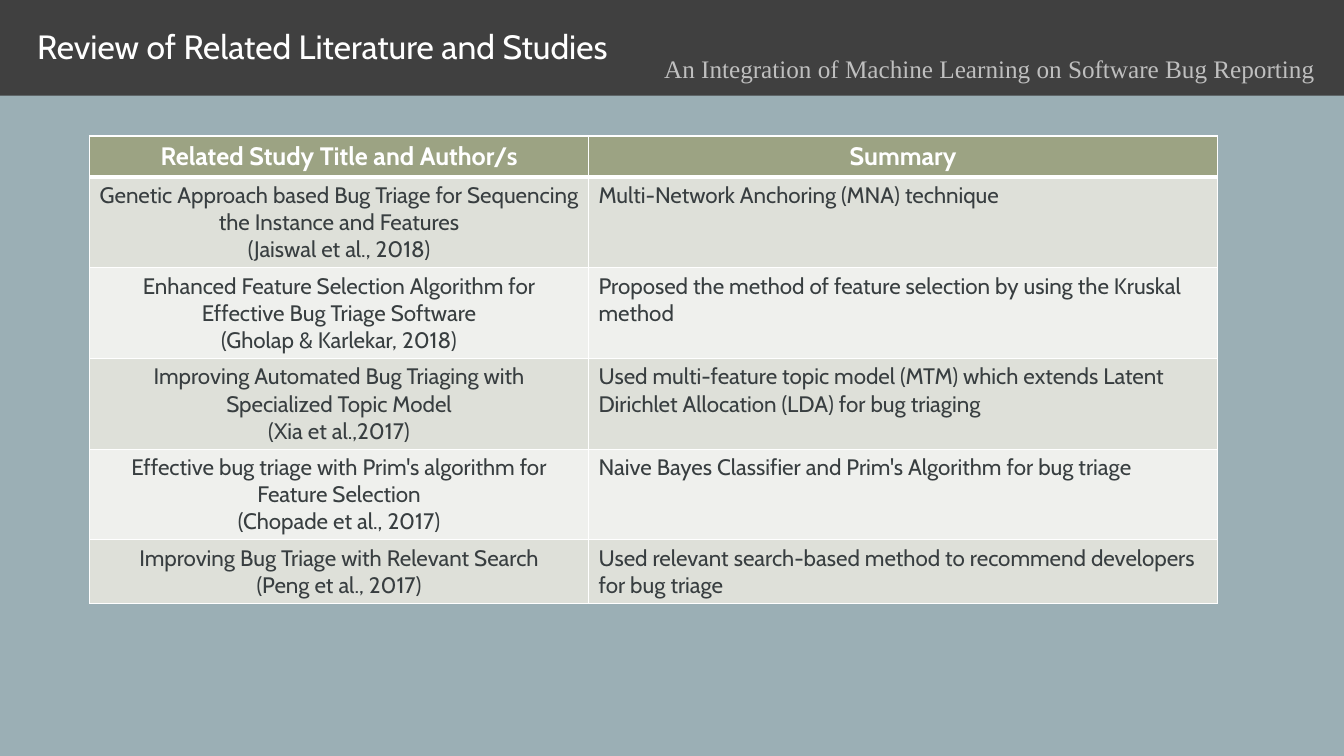
from dataclasses import dataclass

from lxml import etree
from pptx import Presentation
from pptx.dml.color import RGBColor
from pptx.enum.shapes import MSO_SHAPE
from pptx.enum.text import MSO_ANCHOR, MSO_AUTO_SIZE, PP_ALIGN
from pptx.oxml.ns import qn
from pptx.util import Pt

RECT = MSO_SHAPE.RECTANGLE
TOP = MSO_ANCHOR.TOP
FIXED = MSO_AUTO_SIZE.NONE
LEFT, CENTER = PP_ALIGN.LEFT, PP_ALIGN.CENTER


@dataclass(frozen=True)
class Theme:
    page: str = "9BAFB5"
    bar: str = "404040"
    white: str = "FFFFFF"
    muted: str = "BFBFBF"
    ink: str = "383E40"
    head: str = "9CA383"
    bands: tuple = ("DEE0D9", "EFF0ED")
    font: str = "Cabin"
    serif: str = "Times New Roman"
    title: int = 24
    large: int = 18
    body: int = 16


class Deck:
    def __init__(self, slide, theme):
        self.slide = slide
        self.theme = theme
        self.paint(slide.background, theme.page)

    def paint(self, item, color):
        item.fill.solid()
        item.fill.fore_color.rgb = RGBColor.from_string(color)

    def text(self, frame, lines, size, color, font=None, bold=False, align=LEFT):
        for i, line in enumerate(lines):
            para = frame.paragraphs[0] if i == 0 else frame.add_paragraph()
            para.alignment = align
            run = para.add_run()
            run.text = line
            run.font.name = font or self.theme.font
            run.font.size = Pt(size)
            run.font.bold = bold
            run.font.color.rgb = RGBColor.from_string(color)

    def bar(self, *box):
        shape = self.slide.shapes.add_shape(RECT, *map(Pt, box))
        shape.shadow.inherit = False
        self.paint(shape, self.theme.bar)
        shape.line.fill.background()
        # Send the bar behind the title
        self.slide.shapes.title._element.addprevious(shape._element)

    def title(self, text, left, top, width, height):
        shape = self.slide.shapes.title
        shape.left, shape.top = Pt(left), Pt(top)
        shape.width, shape.height = Pt(width), Pt(height)
        frame = shape.text_frame
        frame.vertical_anchor = TOP
        frame.auto_size = FIXED
        self.text(frame, [text], self.theme.title, self.theme.white)

    def label(self, text, *box):
        frame = self.slide.shapes.add_textbox(*map(Pt, box)).text_frame
        frame.word_wrap = True
        self.text(frame, [text], self.theme.large, self.theme.muted, self.theme.serif)

    def edge(self, cell, sides):
        props = cell._tc.get_or_add_tcPr()
        for side, width in sides.items():
            line = etree.SubElement(props, qn(f"a:ln{side}"), w=str(Pt(width)))
            fill = etree.SubElement(line, qn("a:solidFill"))
            etree.SubElement(fill, qn("a:srgbClr"), val=self.theme.white)

    def table(self, rows, left, top, widths, heights):
        theme = self.theme
        box = left, top, sum(widths), sum(heights)
        grid = self.slide.shapes.add_table(len(rows), len(widths), *map(Pt, box)).table
        for col, width in zip(grid.columns, widths):
            col.width = Pt(width)
        for r, row in enumerate(rows):
            grid.rows[r].height = Pt(heights[r])
            head = r == 0
            for c, lines in enumerate(row):
                cell = grid.cell(r, c)
                self.edge(cell, {"L": 1, "R": 1, "T": 3 if r == 1 else 1, "B": 3 if head else 1})
                self.paint(cell, theme.head if head else theme.bands[(r - 1) % 2])
                self.text(
                    cell.text_frame,
                    lines,
                    theme.large if head else theme.body,
                    theme.white if head else theme.ink,
                    bold=head,
                    align=CENTER if head or c == 0 else LEFT,
                )


# Each row: lines of the study cell, lines of the summary cell
STUDIES = [
    (["Related Study Title and Author/s"], ["Summary"]),
    (
        ["Genetic Approach based Bug Triage for Sequencing the Instance and Features",
         "(Jaiswal et al., 2018)"],
        ["Multi-Network Anchoring (MNA) technique"],
    ),
    (
        ["Enhanced Feature Selection Algorithm for Effective Bug Triage Software",
         "(Gholap & Karlekar, 2018)"],
        ["Proposed the method of feature selection by using the Kruskal method"],
    ),
    (
        ["Improving Automated Bug Triaging with Specialized Topic Model",
         "(Xia et al.,2017)"],
        ["Used multi-feature topic model (MTM) which extends Latent Dirichlet "
         "Allocation (LDA) for bug triaging"],
    ),
    (
        ["Effective bug triage with Prim's algorithm for Feature Selection",
         "(Chopade et al., 2017)"],
        ["Naive Bayes Classifier and Prim's Algorithm for bug triage"],
    ),
    (
        ["Improving Bug Triage with Relevant Search", "(Peng et al., 2017)"],
        ["Used relevant search-based method to recommend developers for bug triage"],
    ),
]


def main():
    prs = Presentation()
    prs.slide_width, prs.slide_height = Pt(960), Pt(540)
    deck = Deck(prs.slides.add_slide(prs.slide_layouts[5]), Theme())

    # Header band
    deck.bar(0, 0, 960, 68.4)
    deck.title("Review of Related Literature and Studies", 19.4, 15, 535.7, 98)
    deck.label("An Integration of Machine Learning on Software Bug Reporting", 467.3, 34.6, 490, 28.8)

    # Table of studies
    deck.table(STUDIES, 64, 97.2, [356.4, 449.3], [29.2] + [64.8] * 4 + [45.6])

    prs.save("out.pptx")


if __name__ == "__main__":
    main()
